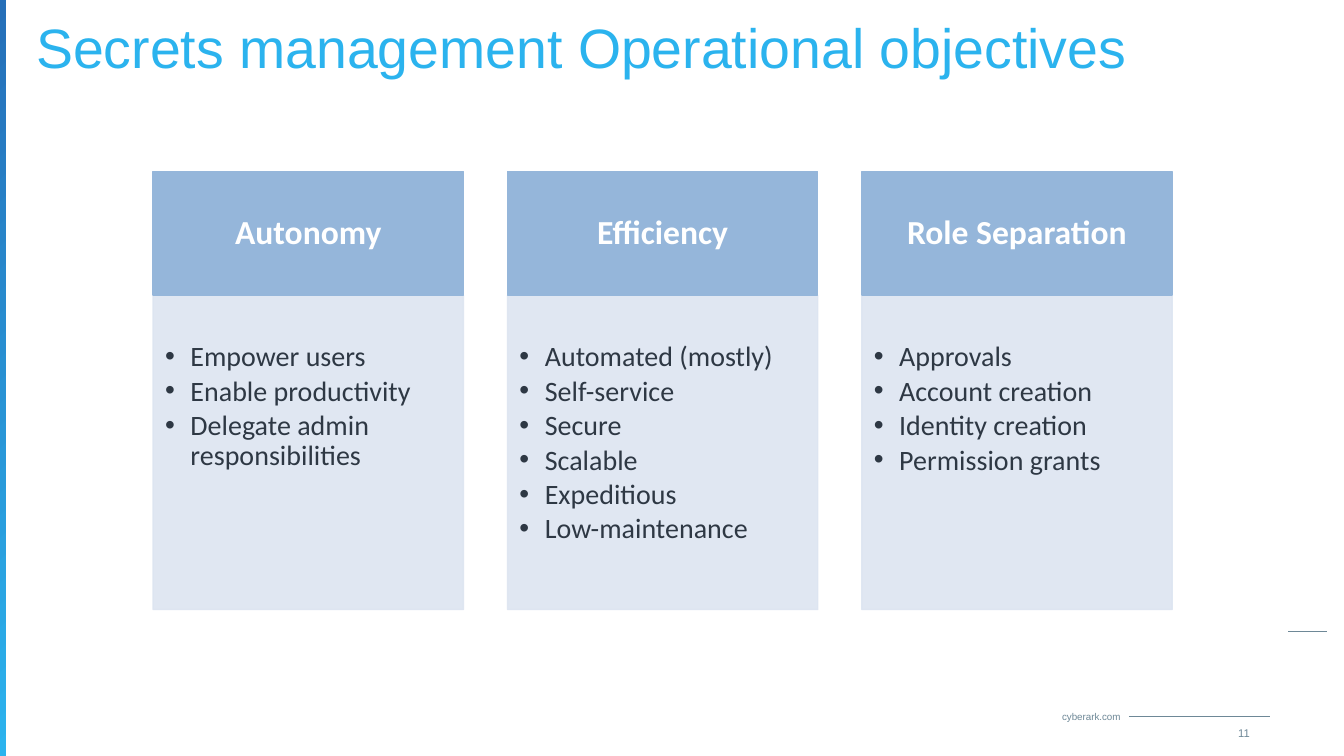
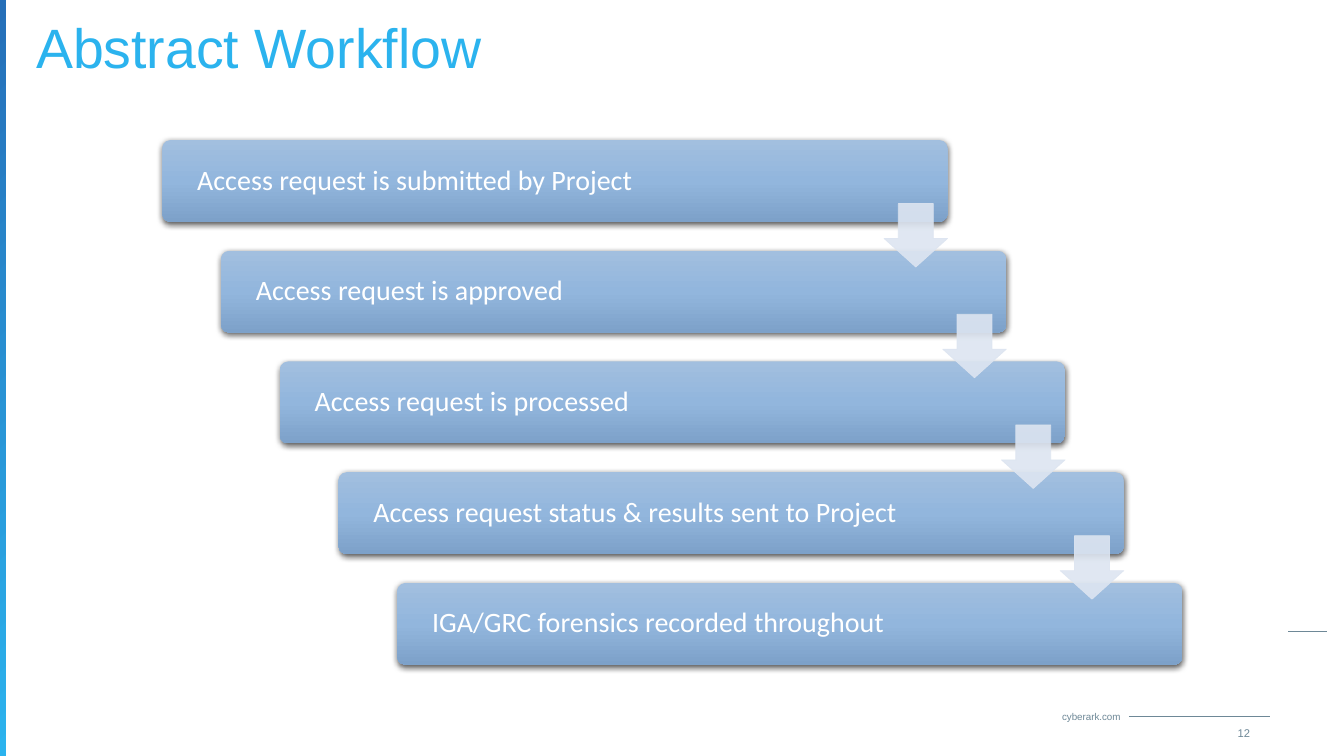
import copy

import lxml.etree
import pptx
import pptx.dml.color
import pptx.enum.shapes
import pptx.enum.text
import pptx.oxml.ns
import pptx.util

Cm = pptx.util.Cm
Pt = pptx.util.Pt
RGB = pptx.dml.color.RGBColor
KIND = pptx.enum.shapes.MSO_SHAPE
ALIGN = pptx.enum.text.PP_ALIGN
ANCHOR = pptx.enum.text.MSO_ANCHOR

NAVY = RGB(0x26, 0x6F, 0xB8)
SKY = RGB(0x2B, 0xB3, 0xEE)
SLATE = RGB(0x6E, 0x88, 0x97)
INK = RGB(0x2E, 0x38, 0x44)
WHITE = RGB(0xFF, 0xFF, 0xFF)
STEEL = RGB(0x95, 0xB6, 0xDA)
MIST = RGB(0xDD, 0xE5, 0xF1)
SHEEN = [(0, RGB(0xA2, 0xBF, 0xDF)), (0.5, RGB(0x92, 0xB6, 0xDD)),
         (1, RGB(0x7D, 0xA1, 0xC9))]
RAIL = [(0, NAVY), (1, SKY)]

COLUMNS = [
    ("Autonomy",
     ["Empower users", "Enable productivity", "Delegate admin responsibilities"]),
    ("Efficiency",
     ["Automated (mostly)", "Self-service", "Secure", "Scalable",
      "Expeditious", "Low-maintenance"]),
    ("Role Separation",
     ["Approvals", "Account creation", "Identity creation", "Permission grants"]),
]
STEPS = [
    "Access request is submitted by Project",
    "Access request is approved",
    "Access request is processed",
    "Access request status & results sent to Project",
    "IGA/GRC forensics recorded throughout",
]


def add(parent, tag, **attrs):
    node = lxml.etree.SubElement(parent, pptx.oxml.ns.qn(tag))
    for name, value in attrs.items():
        node.set(name, str(value))
    return node


class Deck:
    """Holds the house style and the slide being filled."""

    def __init__(self):
        self.prs = pptx.Presentation()
        self.prs.slide_width = Cm(33.87)
        self.prs.slide_height = Cm(19.05)
        self.slide = None

    def start(self, layout, title, number):
        """Open a slide with its title, side rail and footer."""
        self.slide = self.prs.slides.add_slide(self.prs.slide_layouts[layout])
        head = self.slide.shapes.title
        self.place(head, 0.91, 0.91, 32.08, 1.12)
        self.words(head, [title], 39.6, SKY, "Arial", anchor=ANCHOR.BOTTOM)
        rail = self.shape(KIND.RECTANGLE, 0, 0, 0.15, 19.05)
        self.blend(rail, RAIL, 315)
        self.rule(32.46, 33.43, 15.9)
        self.rule(28.45, 32, 18.06)
        self.label("cyberark.com", 16.81, 17.93, 11.43, 0.3, 7, ALIGN.RIGHT)
        self.label(str(number), 29.79, 18.24, 3.12, 0.5, 8, ALIGN.CENTER)

    def place(self, shape, left, top, width, height):
        shape.left, shape.top = Cm(left), Cm(top)
        shape.width, shape.height = Cm(width), Cm(height)

    def words(self, shape, lines, size, color, font="Calibri", bold=False,
              align=ALIGN.LEFT, anchor=ANCHOR.MIDDLE, inset=(0, 0, 0, 0),
              bullet=False):
        """Fill a shape with paragraphs; inset is left, top, right, bottom."""
        frame = shape.text_frame
        frame.word_wrap = True
        frame.auto_size = pptx.enum.text.MSO_AUTO_SIZE.NONE
        frame.vertical_anchor = anchor
        (frame.margin_left, frame.margin_top,
         frame.margin_right, frame.margin_bottom) = map(Cm, inset)
        for i, line in enumerate(lines):
            para = frame.add_paragraph() if i else frame.paragraphs[0]
            para.text = line
            para.alignment = align
            para.line_spacing = 0.9
            para.space_before = Pt(0)
            para.space_after = Pt(3 if bullet else 0)
            if bullet:
                props = para._p.get_or_add_pPr()
                props.set("marL", str(Cm(0.64)))
                props.set("indent", str(-Cm(0.64)))
                add(props, "a:buChar", char="•")
            para.font.name = font
            para.font.size = Pt(size)
            para.font.bold = bold
            para.font.color.rgb = color

    def label(self, text, left, top, width, height, size, align):
        box = self.slide.shapes.add_textbox(
            Cm(left), Cm(top), Cm(width), Cm(height))
        self.words(box, [text], size, SLATE, "Arial", align=align)

    def rule(self, left, right, top):
        line = self.slide.shapes.add_connector(
            pptx.enum.shapes.MSO_CONNECTOR.STRAIGHT,
            Cm(left), Cm(top), Cm(right), Cm(top))
        line.line.color.rgb = SLATE
        line.line.width = Pt(0.5)
        add(line.element.spPr, "a:effectLst")

    def shape(self, kind, left, top, width, height):
        shape = self.slide.shapes.add_shape(
            kind, Cm(left), Cm(top), Cm(width), Cm(height))
        shape.shadow.inherit = False
        shape.line.fill.background()
        return shape

    def paint(self, shape, color, width, alpha=100):
        """Give fill and line one colour, with opacity in percent."""
        shape.fill.solid()
        shape.fill.fore_color.rgb = color
        shape.line.color.rgb = color
        shape.line.width = Pt(width)
        if alpha < 100:
            for node in shape.element.spPr.iter(pptx.oxml.ns.qn("a:srgbClr")):
                add(node, "a:alpha", val=alpha * 1000)

    def blend(self, shape, stops, angle):
        """Fill with a gradient; the angle turns counterclockwise."""
        shape.fill.gradient()
        shape.fill.gradient_angle = angle
        nodes = next(shape.element.spPr.iter(pptx.oxml.ns.qn("a:gsLst")))
        while len(nodes) < len(stops):
            nodes.append(copy.deepcopy(nodes[-1]))
        for stop, (spot, color) in zip(shape.fill.gradient_stops, stops):
            stop.position = spot
            stop.color.rgb = color

    def shade(self, shape):
        """Cast a soft shadow straight down."""
        effects = shape.element.spPr.find(pptx.oxml.ns.qn("a:effectLst"))
        cast = add(effects, "a:outerShdw", blurRad=Pt(4.5), dist=Pt(1.5),
                   dir=5400000, rotWithShape=0)
        add(add(cast, "a:srgbClr", val="000000"), "a:alpha", val=63000)

    def column(self, body, left, head, items):
        """Draw a heading above its list, held in a body placeholder."""
        top = self.shape(KIND.RECTANGLE, left, 4.32, 7.82, 3.12)
        self.paint(top, STEEL, 1)
        self.words(top, [head], 24, WHITE, bold=True, align=ALIGN.CENTER,
                   inset=(0.48, 0.28, 0.48, 0.28))
        self.place(body, left, 7.44, 7.82, 7.92)
        self.paint(body, MIST, 1, 90)
        self.words(body, items, 20, INK, anchor=ANCHOR.TOP,
                   inset=(0.3, 1.19, 0.4, 0.43), bullet=True)

    def bar(self, text, left, top, width, height):
        bar = self.shape(KIND.ROUNDED_RECTANGLE, left, top, width, height)
        bar.adjustments[0] = 0.1
        self.blend(bar, SHEEN, 270)
        self.shade(bar)
        self.words(bar, [text], 20, WHITE, inset=(0.82, 0.2, 0.2, 0.2))

    def arrow(self, left, top, size):
        arrow = self.shape(KIND.DOWN_ARROW, left, top, size, size)
        arrow.adjustments[0], arrow.adjustments[1] = 0.55, 0.45
        self.paint(arrow, MIST, 0.5, 90)


def goals(deck):
    deck.start(4, "Secrets management Operational objectives", 11)
    *bodies, spare = list(deck.slide.placeholders)[1:]
    spare.element.getparent().remove(spare.element)
    for i, (body, (head, items)) in enumerate(zip(bodies, COLUMNS)):
        deck.column(body, 3.86 + i * 8.93, head, items)


def flow(deck):
    deck.start(5, "Abstract Workflow", 12)
    left, top, width, height, size = 4.09, 3.53, 19.79, 2.06, 1.6
    spots = [(left + i * 1.48, top + i * 2.79) for i in range(len(STEPS))]
    for text, (x, y) in zip(STEPS, spots):
        deck.bar(text, x, y, width, height)
    for x, y in spots[:-1]:
        deck.arrow(x + width - size, y + size, size)


def main():
    deck = Deck()
    goals(deck)
    flow(deck)
    deck.prs.save("out.pptx")


if __name__ == "__main__":
    main()
